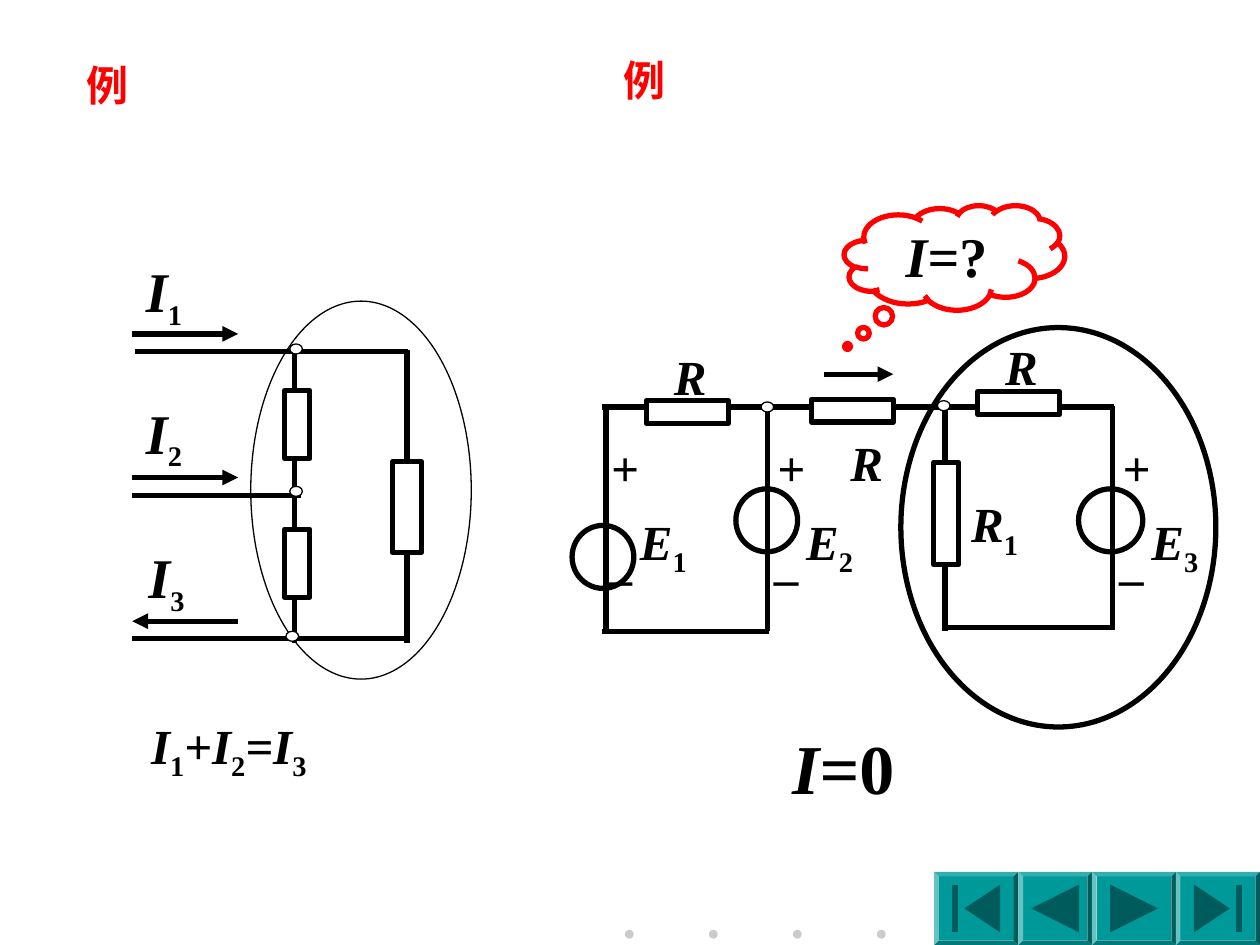
import lxml.etree
import pptx
import pptx.dml.color
import pptx.enum.shapes
import pptx.enum.text
import pptx.oxml.ns
import pptx.util

COLUMNS, ROWS = 100, 75
CELL = pptx.util.Inches(10) // COLUMNS
BLACK, WHITE, RED, TEAL, DARK_TEAL, GREY = (
    "000000", "FFFFFF", "FF0000", "009999", "005C5C", "CBCBCB")
SHAPE = pptx.enum.shapes.MSO_SHAPE
VARIABLE, PLAIN, INDEX = {"italic": True}, {}, {"subscript": True}


def grid(*cells):
    return [round(cell * CELL) for cell in cells]


def color(value):
    return pptx.dml.color.RGBColor.from_string(value)


def paint(shape, fill, outline, width):
    shape.shadow.inherit = False
    if fill:
        shape.fill.solid()
        shape.fill.fore_color.rgb = color(fill)
    else:
        shape.fill.background()
    if outline:
        shape.line.color.rgb = color(outline)
        shape.line.width = pptx.util.Pt(width)
    else:
        shape.line.fill.background()


def figure(slide, kind, box, fill=WHITE, outline=BLACK, width=3, adjustments=()):
    shape = slide.shapes.add_shape(kind, *grid(*box))
    paint(shape, fill, outline, width)
    for place, value in enumerate(adjustments):
        shape.adjustments[place] = value
    return shape


def write(frame, parts, size=28, index_size=None, ink=BLACK, align="LEFT"):
    frame.word_wrap = False
    paragraph = frame.paragraphs[0]
    paragraph.alignment = getattr(pptx.enum.text.PP_ALIGN, align)
    for words, style in parts:
        run = paragraph.add_run()
        run.text = words
        subscript = style.get("subscript", False)
        run.font.name = "Times New Roman"
        run.font.size = pptx.util.Pt(index_size or size if subscript else size)
        run.font.bold = True
        run.font.italic = style.get("italic", False)
        run.font.color.rgb = color(ink)
        if subscript:
            run._r.get_or_add_rPr().set("baseline", "-25000")


def label(slide, parts, box, **style):
    text_box = slide.shapes.add_textbox(*grid(*box))
    write(text_box.text_frame, parts, **style)
    text_box.text_frame.auto_size = pptx.enum.text.MSO_AUTO_SIZE.SHAPE_TO_FIT_TEXT


def indexed(letter, index):
    return [(letter, VARIABLE), (index, INDEX)]


def wire(slide, start, end, arrow=False):
    line = slide.shapes.add_connector(
        pptx.enum.shapes.MSO_CONNECTOR.STRAIGHT, *grid(*start, *end))
    line.line.color.rgb = color(BLACK)
    line.line.width = pptx.util.Pt(3)
    qn = pptx.oxml.ns.qn
    if arrow:
        lxml.etree.SubElement(line.line._get_or_add_ln(), qn("a:tailEnd"), type="triangle")
    lxml.etree.SubElement(line._element.spPr, qn("a:effectLst"))


def resistor(slide, *box):
    figure(slide, SHAPE.RECTANGLE, box)


def junction(slide, column, row):
    figure(slide, SHAPE.OVAL, (column, row, 1, 0.8), width=0.75)


def voltage_source(slide, circle, branch, sign_column, index):
    figure(slide, SHAPE.OVAL, circle)
    wire(slide, *branch)
    label(slide, [("+", VARIABLE)], (sign_column, 34.2, 4.2, 5.7))
    label(slide, [("_", VARIABLE)], (sign_column, 41.6, 4, 5.7))
    label(slide, indexed("E", index), (sign_column + 2.3, 40.1, 5.8, 6.3))


def button(slide, left, width, *icons):
    top, height = 69.2, 5.8
    figure(slide, SHAPE.BEVEL, (left, top, width, height), TEAL, None,
           adjustments=[0.0625])
    middle = (left + width / 2, top + height / 2)
    for icon in icons:
        points = [grid(middle[0] + x, middle[1] + y) for x, y in icon]
        builder = slide.shapes.build_freeform(*points[0])
        builder.add_line_segments(points[1:], close=True)
        paint(builder.convert_to_shape(), DARK_TEAL, None, 0)


def navigation(slide):
    for step in range(4):
        figure(slide, SHAPE.OVAL, (49.6 + step * 20 / 3, 73.8, 0.7, 0.7), GREY, None)

    def triangle(base, tip):
        return [(base, -1.9), (tip, 0), (base, 1.9)]

    def bar(left, right):
        return [(left, -1.9), (right, -1.9), (right, 1.9), (left, 1.9)]

    button(slide, 74.15, 6.67, triangle(1.9, -0.95), bar(-1.9, -1.43))
    button(slide, 80.83, 5.83, triangle(1.9, -1.9))
    button(slide, 86.67, 6.67, triangle(-1.9, 1.9))
    button(slide, 93.33, 6.67, triangle(-1.9, 0.95), bar(1.43, 1.9))


def three_current_circuit(slide):
    label(slide, [("例", PLAIN)], (5.9, 4.2, 5.4, 5), size=24, ink=RED)
    figure(slide, SHAPE.OVAL, (19.9, 23.9, 17.5, 30), None, width=0.75)
    wire(slide, (32.3, 27.8), (32.3, 51))
    wire(slide, (23.4, 28.1), (23.4, 51))
    wire(slide, (10.7, 27.9), (32.4, 27.9))
    wire(slide, (23.9, 39.3), (10.5, 39.3))
    wire(slide, (10.5, 50.7), (32.2, 50.7))
    resistor(slide, 31.15, 36.65, 2.3, 7.2)
    for row in (31, 42):
        resistor(slide, 22.6, row, 2, 5.4)
    for row in (26.5, 37.9):
        wire(slide, (10.5, row), (18.9, row), arrow=True)
    wire(slide, (18.9, 49.3), (10.5, 49.3), arrow=True)
    for column, row in ((23, 27.3), (23, 38.6), (22.7, 50.1)):
        junction(slide, column, row)
    for index, column, row in (("1", 10.6, 19.9), ("2", 10.6, 31.1), ("3", 10.8, 42.6)):
        label(slide, indexed("I", index), (column, row, 4.9, 6.9), size=32, index_size=28)
    equation = indexed("I", "1") + indexed("+I", "2") + indexed("=I", "3")
    label(slide, equation, (11, 56.3, 14.8, 6.3))


def bridge_current_circuit(slide):
    label(slide, [("例", PLAIN)], (48.5, 3.8, 5.4, 5), size=24, ink=RED)
    thought = figure(slide, SHAPE.CLOUD_CALLOUT, (67, 16.3, 17.5, 8.3), outline=RED,
                     adjustments=[-0.485, 0.85])
    thought.text_frame.vertical_anchor = pptx.enum.text.MSO_ANCHOR.MIDDLE
    write(thought.text_frame, [("I", VARIABLE), ("=?", PLAIN)], size=32, align="CENTER")
    figure(slide, SHAPE.OVAL, (71.5, 26, 25, 31.7), None)

    voltage_source(slide, (45.4, 41.7, 4.9, 5), ((48.1, 32.4), (48.1, 50.1)), 47.5, "1")
    voltage_source(slide, (58.4, 38.8, 4.9, 5), ((60.9, 32.4), (60.9, 50.1)), 60.7, "2")
    voltage_source(slide, (85.6, 38.8, 5.1, 5), ((88.3, 32.2), (88.3, 49.8)), 88.1, "3")
    wire(slide, (75, 32.4), (75, 50.1))
    for start, end, row in ((47.8, 62.1, 32.3), (61, 75.2, 32.3), (74.1, 88.4, 32.3),
                            (47.8, 61, 50.1), (74.9, 88.5, 49.8)):
        wire(slide, (start, row), (end, row))
    wire(slide, (65.4, 29.7), (70.9, 29.7), arrow=True)

    for column, row in ((51.3, 31.8), (64.4, 31.7), (77.6, 31.1)):
        resistor(slide, column, row, 6.5, 1.8)
    for column, row in ((52.5, 27), (66.5, 33.8), (78.8, 26.2)):
        label(slide, [("R", VARIABLE)], (column, row, 4.6, 5.7))
    resistor(slide, 74.1, 36.7, 2, 8.1)
    label(slide, indexed("R", "1"), (76.1, 38.7, 5.8, 6.3))
    junction(slide, 60.4, 31.9)
    junction(slide, 74.4, 31.8)
    label(slide, [("I=", VARIABLE), ("0", PLAIN)], (61.9, 57, 10.1, 7.7), size=40)


def main():
    deck = pptx.Presentation()
    deck.slide_width, deck.slide_height = grid(COLUMNS, ROWS)
    slide = deck.slides.add_slide(deck.slide_layouts[6])
    navigation(slide)
    three_current_circuit(slide)
    bridge_current_circuit(slide)
    deck.save("out.pptx")


if __name__ == "__main__":
    main()
